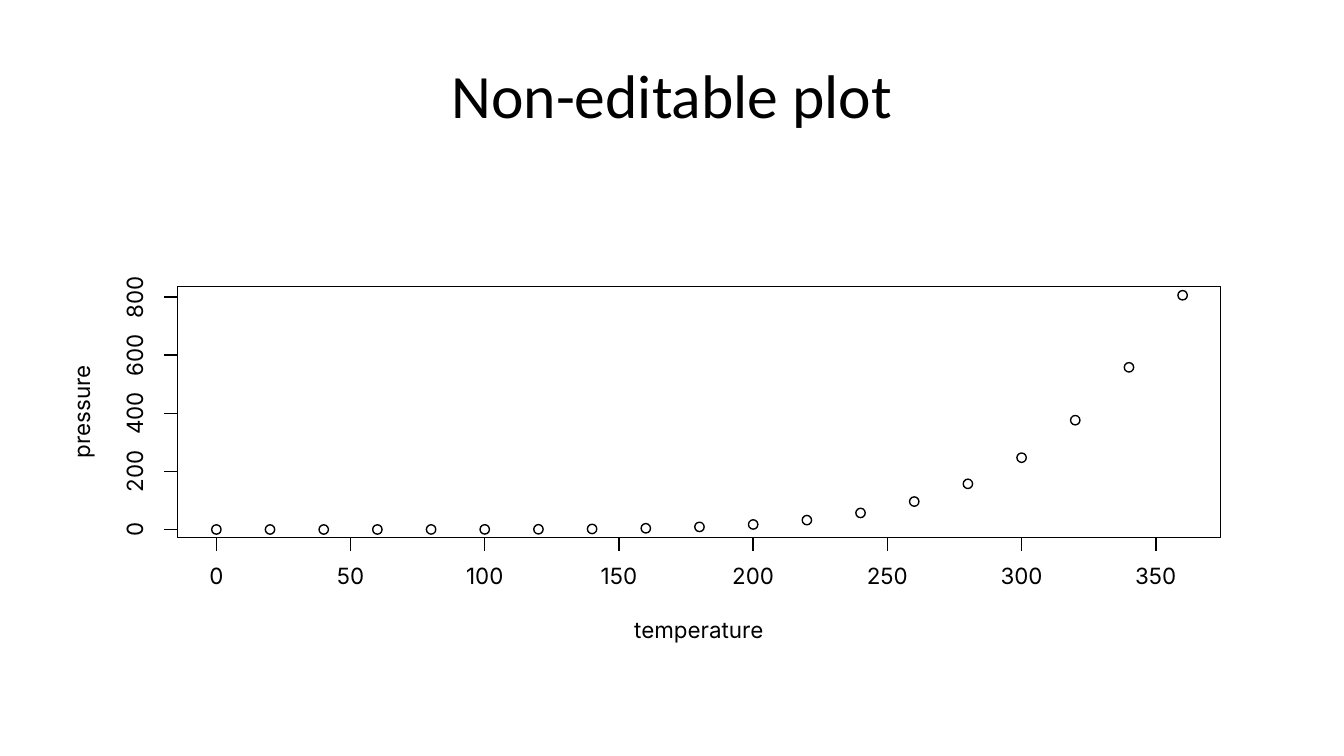
from pptx import Presentation
from pptx import util as u
from pptx.dml.color import RGBColor
from pptx.enum import shapes, text
from pptx.oxml.ns import qn
from lxml import etree

INK, PAPER = "000000", "FFFFFF"


def color(code):
    return RGBColor.from_string(code)


class Plot:
    """Draws plot elements in one group on the current slide."""

    def __init__(self, slide):
        self.slide = slide
        self.group = slide.shapes.add_group_shape().shapes
        self.font, self.size, self.width = "Inter", 12, 0.75

    def style(self, run, font, size):
        run.font.name = font
        run.font.size = u.Pt(size)
        run.font.color.rgb = color(INK)

    def title(self, words):
        box = self.slide.shapes.title
        box.left, box.top = u.Inches(0.5), u.Inches(0.23)
        box.width, box.height = u.Inches(9), u.Inches(0.94)
        frame = box.text_frame
        frame.text = words
        frame.vertical_anchor = text.MSO_ANCHOR.MIDDLE
        para = frame.paragraphs[0]
        para.alignment = text.PP_ALIGN.CENTER
        self.style(para.runs[0], "Calibri", 33)

    def shape(self, kind, x, y, w, h, fill=None, line=INK):
        item = self.group.add_shape(kind, *map(u.Inches, (x, y, w, h)))
        item.shadow.inherit = False
        if fill:
            item.fill.solid()
            item.fill.fore_color.rgb = color(fill)
        else:
            item.fill.background()
        item.line.color.rgb = color(line)
        item.line.width = u.Pt(self.width)

    def line(self, x1, y1, x2, y2):
        item = self.group.add_connector(
            shapes.MSO_CONNECTOR.STRAIGHT, *map(u.Inches, (x1, y1, x2, y2)))
        item.line.color.rgb = color(INK)
        item.line.width = u.Pt(self.width)
        etree.SubElement(item._element.spPr, qn("a:effectLst"))

    def label(self, words, x, y, w, h=0.12, turn=0):
        box = self.group.add_textbox(
            *map(u.Inches, (x - w / 2, y - h / 2, w, h)))
        box.rotation = turn
        frame = box.text_frame
        frame.margin_left = frame.margin_right = 0
        frame.margin_top = frame.margin_bottom = 0
        frame.auto_size = text.MSO_AUTO_SIZE.NONE
        frame.word_wrap = False
        frame.vertical_anchor = text.MSO_ANCHOR.MIDDLE
        frame.text = words
        para = frame.paragraphs[0]
        para.alignment = text.PP_ALIGN.CENTER
        para.line_spacing = u.Pt(self.size)
        self.style(para.runs[0], self.font, self.size)


LEFT, TOP, WIDE, HIGH = 1.32, 2.13, 7.76, 1.87
BASE = TOP + HIGH
TICK, DOT, DIGIT = 0.1, 0.07, 0.11
PRESSURE = [0, 0, 0.01, 0.03, 0.09, 0.27, 0.75, 1.85, 4.2, 8.8, 17.3,
            32.1, 57, 96, 157, 247, 376, 558, 806]


def across(temp):
    return 1.61 + temp * 6.99 / 350


def up(press):
    return 3.94 - press * 1.73 / 800


deck = Presentation()
deck.slide_width, deck.slide_height = u.Inches(10), u.Inches(10 * 9 / 16)
slide = deck.slides.add_slide(deck.slide_layouts[5])
plot = Plot(slide)
plot.title("Non-editable plot")

rect, oval = shapes.MSO_SHAPE.RECTANGLE, shapes.MSO_SHAPE.OVAL
plot.shape(rect, 0.5, 1.31, 9, 3.71, PAPER, PAPER)
for step, press in enumerate(PRESSURE):
    plot.shape(oval, across(step * 20) - DOT / 2, up(press) - DOT / 2,
               DOT, DOT)

plot.line(across(0), BASE, across(350), BASE)
for temp in range(0, 351, 50):
    x = across(temp)
    plot.line(x, BASE, x, BASE + TICK)
    plot.label(str(temp), x, 4.3, DIGIT * len(str(temp)))

plot.line(LEFT, up(0), LEFT, up(800))
for press in range(0, 801, 200):
    y = up(press)
    plot.line(LEFT, y, LEFT - TICK, y)
    plot.label(str(press), 1.02, y, DIGIT * len(str(press)), turn=270)

plot.shape(rect, LEFT, TOP, WIDE, HIGH)
middle = TOP + HIGH / 2
plot.label("temperature", LEFT + WIDE / 2, 4.7, 1, 0.15)
plot.label("pressure", 0.62, middle, 0.75, turn=270)

deck.save("out.pptx")
